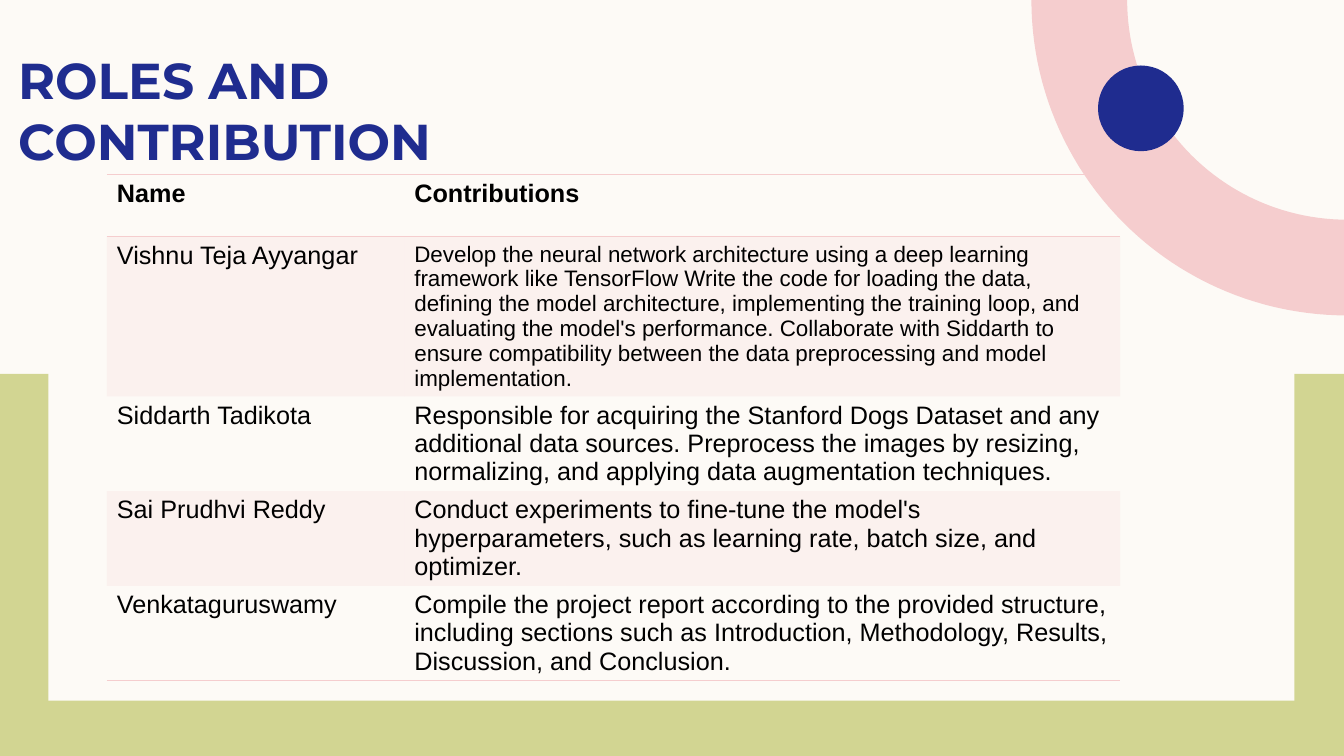
from math import cos, pi, sin

from lxml.etree import SubElement
from pptx import Presentation
from pptx.dml.color import RGBColor
from pptx.enum.shapes import MSO_SHAPE as Shape
from pptx.enum.text import MSO_ANCHOR as Anchor, PP_ALIGN as Align
from pptx.oxml import parse_xml
from pptx.oxml.ns import nsdecls, qn
from pptx.util import Inches, Pt

CREAM = RGBColor(0xFD, 0xFA, 0xF6)
OLIVE = RGBColor(0xD2, 0xD5, 0x92)
PINK = RGBColor(0xF5, 0xCD, 0xCE)
NAVY = RGBColor(0x1F, 0x2C, 0x8F)
BLACK = RGBColor(0, 0, 0)

PLAIN_TABLE_STYLE = "{2D5ABB26-0587-4C30-8999-92F81FD0307C}"
ROWS = [
    ("Name", "Contributions"),
    ("Vishnu Teja Ayyangar",
     "Develop the neural network architecture using a deep learning framework like "
     "TensorFlow Write the code for loading the data, defining the model architecture, "
     "implementing the training loop, and evaluating the model's performance. "
     "Collaborate with Siddarth to ensure compatibility between the data preprocessing "
     "and model implementation."),
    ("Siddarth Tadikota",
     "Responsible for acquiring the Stanford Dogs Dataset and any additional data "
     "sources. Preprocess the images by resizing, normalizing, and applying data "
     "augmentation techniques."),
    ("Sai Prudhvi Reddy",
     "Conduct experiments to fine-tune the model's hyperparameters, such as learning "
     "rate, batch size, and optimizer."),
    ("Venkataguruswamy",
     "Compile the project report according to the provided structure, including "
     "sections such as Introduction, Methodology, Results, Discussion, and Conclusion."),
]
ROW_HEIGHTS = [0.62, 1.58, 0.94, 0.94, 0.94]
COLUMN_WIDTHS = [2.95, 7.1]


def paint(shape, color):
    shape.shadow.inherit = False
    shape.fill.solid()
    shape.fill.fore_color.rgb = color
    shape.line.fill.background()


def arc(radius, steps=48):
    angles = [pi - pi / 2 * step / steps for step in range(steps + 1)]
    return [(Inches(min(13.36 + radius * cos(angle), 13.33)), Inches(radius * sin(angle)))
            for angle in angles]


deck = Presentation()
deck.slide_width, deck.slide_height = Inches(13.33), Inches(7.5)
page = deck.slides.add_slide(deck.slide_layouts[5])
page.background.fill.solid()
page.background.fill.fore_color.rgb = CREAM

for kind, left, top, width, height, color in [
    (Shape.RECTANGLE, 0, 3.71, 13.33, 3.79, OLIVE),
    (Shape.RECTANGLE, 0.48, 0.36, 12.36, 6.59, CREAM),
]:
    paint(page.shapes.add_shape(
        kind, Inches(left), Inches(top), Inches(width), Inches(height)), color)

ring_points = arc(3.13) + arc(2.18)[::-1]
builder = page.shapes.build_freeform(*ring_points[0])
builder.add_line_segments(ring_points[1:], close=True)
paint(builder.convert_to_shape(), PINK)
dot = page.shapes.add_shape(
    Shape.OVAL, Inches(10.89), Inches(0.65), Inches(0.85), Inches(0.85))
paint(dot, NAVY)

title = page.shapes.title
page.shapes._spTree.append(title._element)
title.left, title.top = Inches(0.08), Inches(0.29)
title.width, title.height = Inches(6.26), Inches(1.6)
frame = title.text_frame
frame.text = "ROLES AND CONTRIBUTION"
frame.word_wrap = True
frame.vertical_anchor = Anchor.MIDDLE
frame.margin_left = frame.margin_right = Inches(0.1)
frame.margin_top = frame.margin_bottom = 0
para = frame.paragraphs[0]
para.alignment = Align.LEFT
para.font.name, para.font.size, para.font.bold = "Montserrat", Pt(36), True
para.font.color.rgb = NAVY

table = page.shapes.add_table(
    len(ROWS), 2, Inches(1.06), Inches(1.73),
    Inches(sum(COLUMN_WIDTHS)), Inches(sum(ROW_HEIGHTS))).table
table._tbl.tblPr.find(qn("a:tableStyleId")).text = PLAIN_TABLE_STYLE
table.horz_banding = False
for column, width in zip(table.columns, COLUMN_WIDTHS):
    column.width = Inches(width)

BORDERS = {0: ("lnT", "lnB"), len(ROWS) - 1: ("lnB",)}
for row_index, (texts, height) in enumerate(zip(ROWS, ROW_HEIGHTS)):
    table.rows[row_index].height = Inches(height)
    for column_index, text in enumerate(texts):
        cell = table.cell(row_index, column_index)
        cell.text = text
        para = cell.text_frame.paragraphs[0]
        para.font.name = "Arial"
        para.font.size = Pt(16 if (row_index, column_index) == (1, 1) else 18)
        para.font.bold = row_index == 0
        para.font.color.rgb = BLACK
        properties = cell._tc.get_or_add_tcPr()
        for edge in BORDERS.get(row_index, ()):
            properties.append(parse_xml(
                f'<a:{edge} {nsdecls("a")} w="12700"><a:solidFill>'
                f'<a:srgbClr val="{PINK}"/></a:solidFill></a:{edge}>'))
        if row_index % 2:
            cell.fill.solid()
            cell.fill.fore_color.rgb = PINK
            tint = properties.find(qn("a:solidFill")).find(qn("a:srgbClr"))
            SubElement(tint, qn("a:alpha"), val="20000")
        else:
            cell.fill.background()

deck.save("out.pptx")
